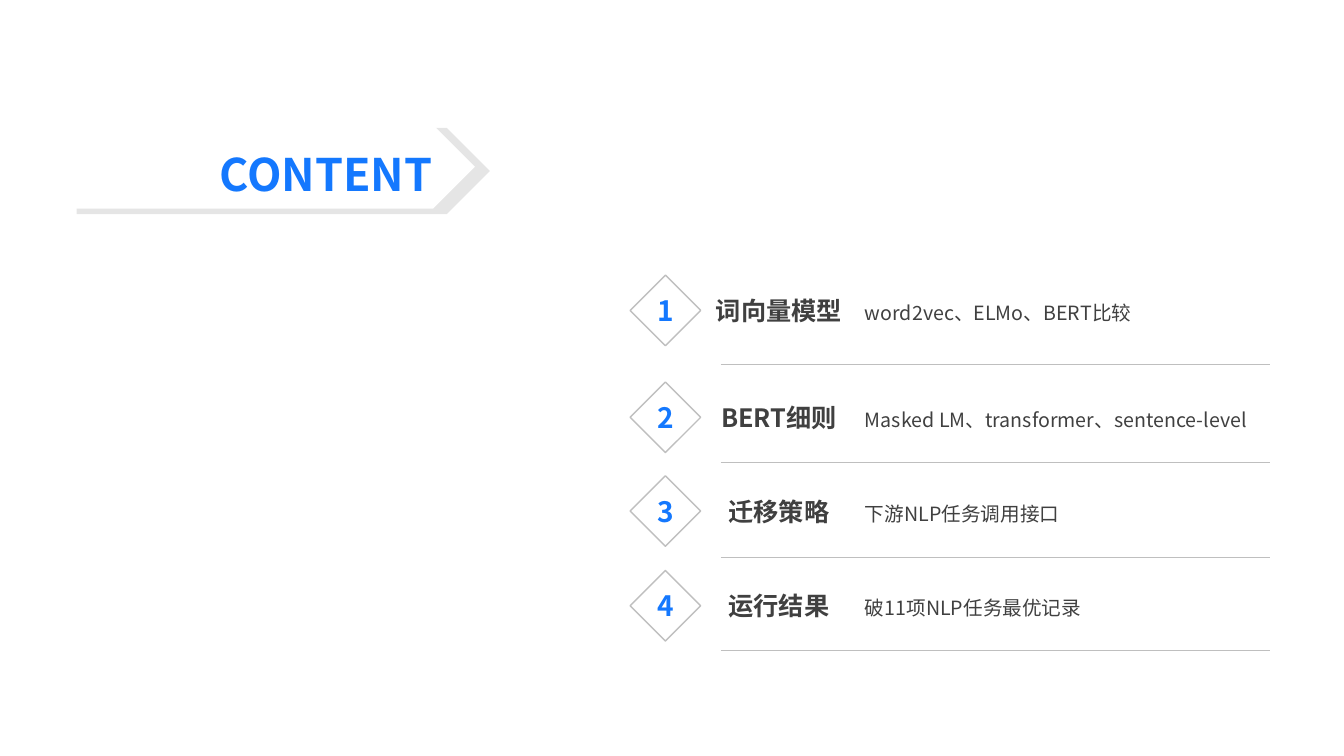
from lxml.etree import SubElement
from pptx import Presentation
from pptx.dml.color import RGBColor
from pptx.enum.shapes import MSO_CONNECTOR, MSO_SHAPE
from pptx.enum.text import MSO_ANCHOR, PP_ALIGN
from pptx.oxml.ns import qn
from pptx.util import Inches, Pt

# Content: heading, detail, diamond top, rule height
TITLE = "CONTENT"
CHAPTERS = [
    ("词向量模型", "word2vec、ELMo、BERT比较", 2.73, 3.61),
    ("BERT细则", "Masked LM、transformer、sentence-level", 3.79, 4.59),
    ("迁移策略", "下游NLP任务调用接口", 4.72, 5.53),
    ("运行结果", "破11项NLP任务最优记录", 5.66, 6.45),
]
COLORS = {"accent": "1478FE", "text": "404040", "line": "BFBFBF",
          "white": "FFFFFF", "shadow": "000000"}
FONT = "Noto Sans CJK SC"
DIAMOND_LEFT, DIAMOND_SIZE = 6.25, 0.7
HEADING_LEFT, HEADING_WIDTH = 6.96, 1.53
DETAIL_LEFT, DETAIL_WIDTH = 8.48, 4.12
LABEL_HEIGHT = 0.42
RULE_LEFT, RULE_RIGHT = 7.15, 12.6


def rgb(name):
    return RGBColor.from_string(COLORS[name])


def write(frame, text, size, color, align, bold=False, anchor=MSO_ANCHOR.MIDDLE):
    frame.vertical_anchor = anchor
    paragraph = frame.paragraphs[0]
    paragraph.text = text
    paragraph.alignment = align
    font = paragraph.font
    font.name, font.size, font.bold = FONT, Pt(size), bold
    font.color.rgb = rgb(color)
    # East Asian characters use the same typeface
    SubElement(font._element, qn("a:ea"), typeface=FONT)
    return paragraph


def add_label(left, top, width, height, *style, **options):
    label = slide.shapes.add_textbox(*map(Inches, (left, top, width, height)))
    label.text_frame.word_wrap = True
    return write(label.text_frame, *style, **options)


def add_white_shape(kind, left, top, width, height):
    shape = slide.shapes.add_shape(kind, *map(Inches, (left, top, width, height)))
    shape.shadow.inherit = False
    shape.fill.solid()
    shape.fill.fore_color.rgb = rgb("white")
    return shape


prs = Presentation()
prs.slide_width, prs.slide_height = Inches(13.33), Inches(7.5)
slide = prs.slides.add_slide(prs.slide_layouts[6])

# Title banner with an enlarged, offset shadow
banner = add_white_shape(MSO_SHAPE.PENTAGON, 0.73, 1.24, 3.98, 0.83)
banner.line.fill.background()
effects = banner._element.spPr.find(qn("a:effectLst"))
shadow = SubElement(effects, qn("a:outerShdw"), dist=str(Pt(3)), dir="2700000",
                    sx="103000", sy="103000", algn="tl", rotWithShape="0")
shade = SubElement(shadow, qn("a:srgbClr"), val=COLORS["shadow"])
SubElement(shade, qn("a:alpha"), val="10000")
add_label(1.38, 1.41, 3.01, 0.64, TITLE, 32, "accent", PP_ALIGN.RIGHT,
          bold=True, anchor=MSO_ANCHOR.TOP)

# Chapter rows
for number, (heading, detail, top, rule_y) in enumerate(CHAPTERS, 1):
    diamond = add_white_shape(MSO_SHAPE.DIAMOND, DIAMOND_LEFT, top,
                              DIAMOND_SIZE, DIAMOND_SIZE)
    diamond.line.color.rgb = rgb("line")
    diamond.line.width = Pt(1)
    frame = diamond.text_frame
    frame.word_wrap = False
    frame.margin_top = frame.margin_bottom = 0
    write(frame, str(number), 20, "accent", PP_ALIGN.CENTER, bold=True)

    label_top = top + (DIAMOND_SIZE - LABEL_HEIGHT) / 2
    add_label(HEADING_LEFT, label_top, HEADING_WIDTH, LABEL_HEIGHT,
              heading, 18, "text", PP_ALIGN.CENTER, bold=True)
    description = add_label(DETAIL_LEFT, label_top, DETAIL_WIDTH, LABEL_HEIGHT,
                            detail, 14, "text", PP_ALIGN.LEFT)
    description.line_spacing = 1.2

    rule = slide.shapes.add_connector(
        MSO_CONNECTOR.STRAIGHT, Inches(RULE_LEFT), Inches(rule_y),
        Inches(RULE_RIGHT), Inches(rule_y))
    rule.line.color.rgb = rgb("line")
    rule.line.width = Pt(0.25)
    SubElement(rule._element.spPr, qn("a:effectLst"))

prs.save("out.pptx")
